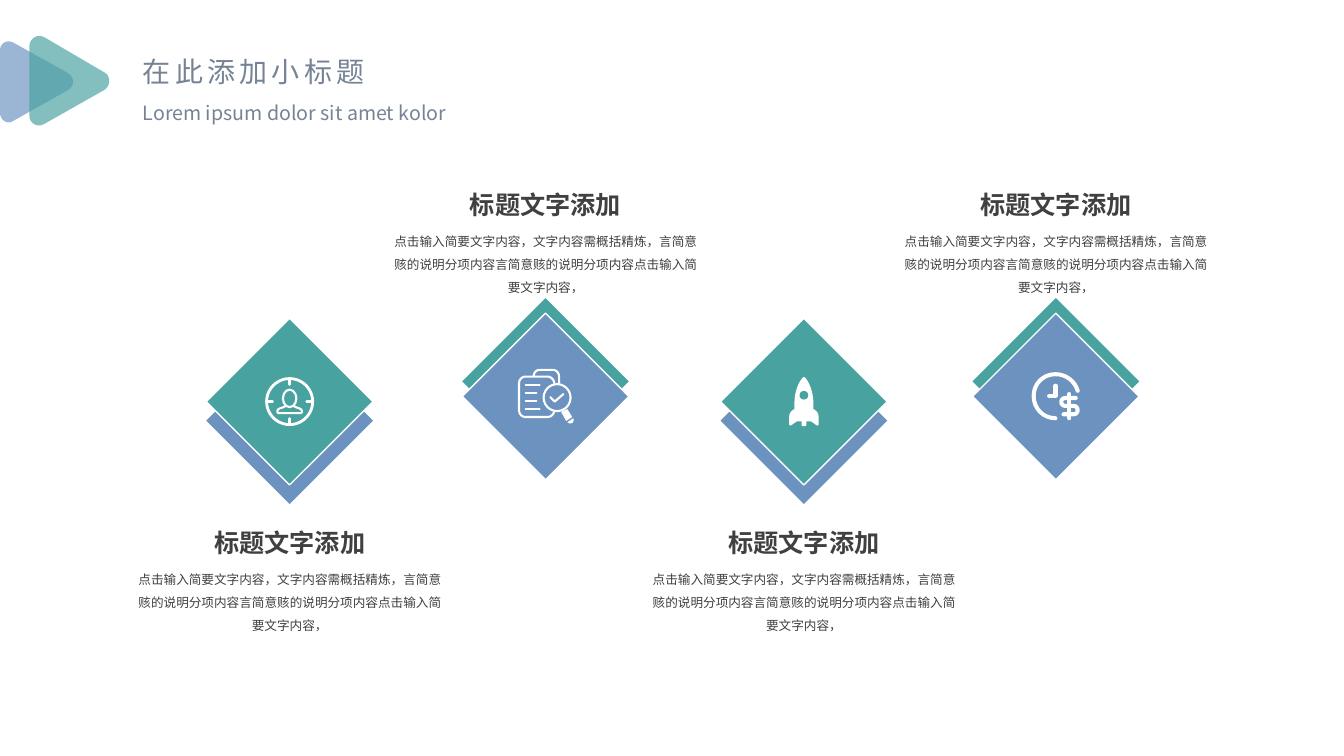
from lxml import etree
from pptx import Presentation
from pptx import util as u
from pptx.dml.color import RGBColor
from pptx.enum import shapes, text
from pptx.oxml.ns import qn

COLORS = {"teal": "48A2A0", "blue": "6C92C0", "white": "FFFFFF",
          "heading": "768394", "body": "404040"}
SANS = "Noto Sans CJK SC"
BODY = "点击输入简要文字内容，文字内容需概括精炼，言简意赅的说明分项内容言简意赅的说明分项内容点击输入简要文字内容，"
STEPS = 8

prs = Presentation()
prs.slide_width, prs.slide_height = u.Cm(33.87), u.Cm(19.05)
s = prs.slides.add_slide(prs.slide_layouts[6])


def draw(d, x=0, y=0, color="white", weight=0):
    contours = []
    for part in d.replace("M", "|M").split("|")[1:]:
        points = []
        for cmd in part.replace("L", "|L").replace("C", "|C").split("|"):
            n = [float(v) / 100 for v in cmd.strip(" MLCZ").split()]
            pairs = list(zip(n[::2], n[1::2]))
            if len(pairs) == 1:
                points += pairs
                continue
            curve = [points[-1]] + pairs
            for i in range(1, STEPS + 1):
                t = i / STEPS
                w = ((1 - t) ** 3, 3 * t * (1 - t) ** 2, 3 * t * t * (1 - t), t ** 3)
                points.append(tuple(sum(k * p[a] for k, p in zip(w, curve)) for a in (0, 1)))
        contours.append([(u.Cm(x + px), u.Cm(y + py)) for px, py in points])
    fb = s.shapes.build_freeform(*contours[0][0])
    for i, points in enumerate(contours):
        if i:
            fb.move_to(*points[0])
        fb.add_line_segments(points[1:], close=not weight)
    sp = fb.convert_to_shape()
    sp.shadow.inherit = False
    if weight:
        sp.fill.background()
        sp.line.width = u.Pt(weight)
        sp.line.color.rgb = RGBColor.from_string(COLORS[color])
        ln = sp.line._get_or_add_ln()
        ln.set("cap", "rnd")
        etree.SubElement(ln, qn("a:round"))
    else:
        sp.fill.solid()
        sp.fill.fore_color.rgb = RGBColor.from_string(COLORS[color])
        sp.line.fill.background()
    return sp


def write(words, box, color, fmt, align=None, spacing=None, tracking=0):
    tf = s.shapes.add_textbox(*map(u.Cm, box)).text_frame
    tf.word_wrap = align is not None
    p = tf.paragraphs[0]
    p.alignment, p.line_spacing = align, spacing
    r = p.add_run()
    r.text = words
    for name, value in fmt.items():
        setattr(r.font, name, value)
    r.font.color.rgb = RGBColor.from_string(COLORS[color])
    rPr = r._r.get_or_add_rPr()
    etree.SubElement(rPr, qn("a:ea")).set("typeface", fmt["name"])
    if tracking:
        rPr.set("spc", str(tracking * 100))


write("在此添加小标题", (3.35, 1.24, 6.25, 1.12), "heading",
      {"name": SANS, "size": u.Pt(20)}, tracking=3)
write("Lorem ipsum dolor sit amet kolor", (3.35, 2.41, 8.2, 0.86), "heading",
      {"name": SANS, "size": u.Pt(14)})

TRIANGLES = [
    ("blue", "M173 185 L33 107 C18 99 0 109 0 127 L0 284 C0 302 18 315 33 305 "
             "L173 226 C188 216 188 196 173 185 Z"),
    ("teal", "M264 183 L112 94 C94 84 74 97 74 117 L74 292 C74 310 94 323 112 312 "
             "L264 226 C279 216 279 191 264 183 Z"),
]
for color, d in TRIANGLES:
    sp = draw(d, color=color)
    clr = sp.fill._xPr.find(qn("a:solidFill"))[0]
    etree.SubElement(clr, qn("a:alpha")).set("val", "68000")

TARGET = {
    "paths": [
        ("M0 -58 L0 -43 M0 43 L0 58 M-58 0 L-43 0 M43 0 L58 0", 2),
        ("M-11 11 C-16 17 -31 15 -31 25 C-31 30 -25 29 -22 29 L22 29 "
         "C25 29 31 30 31 25 C31 15 16 17 11 11", 1.5)],
    "ovals": [(0, 0, 0.58, 0.58, 2), (0, -0.08, 0.17, 0.22, 1.5)]}
REVIEW = {
    "paths": [
        ("M22 -34 C20 -44 13 -50 4 -50 L-50 -50 C-60 -50 -67 -42 -67 -32 L-67 34 "
         "C-67 44 -60 52 -50 52 L4 52 C12 52 19 47 21 40 "
         "M-30 -52 C-29 -61 -23 -67 -14 -67 L17 -67 C27 -67 34 -60 34 -50 L34 -34", 1.5),
        ("M-50 -29 L-15 -29 M-50 -9 L-23 -9 M-50 11 L-23 11 M-50 32 L-15 32 "
         "M12 2 L23 13 L45 -6", 1.5),
        ("M39 39 L52 62 L67 52 L55 32 Z M70 55 L55 65 C57 67 62 70 67 67 "
         "C70 65 72 60 70 55 Z", 0)],
    "ovals": [(0.29, 0.03, 0.34, 0.34, 1.5)]}
ROCKET = {
    "paths": [
        ("M0 -62 C5 -62 24 -34 24 4 L24 19 C32 23 37 30 37 37 L37 57 C37 60 34 61 32 60 "
         "L21 52 C19 50 17 50 14 50 L6 50 L6 58 C6 61 5 62 4 62 L-4 62 C-5 62 -6 61 -6 58 "
         "L-6 50 L-14 50 C-17 50 -19 50 -21 52 L-32 60 C-34 61 -37 60 -37 57 L-37 37 "
         "C-37 30 -32 23 -24 19 L-24 4 C-24 -34 -5 -62 0 -62 Z", 0)],
    "ovals": [(0, -0.16, 0.11, 0.11, 0)]}
CLOCK = {
    "paths": [
        ("M55 -14 C48 -39 25 -56 -1 -56 C-32 -56 -56 -32 -56 -1 C-56 30 -32 55 -1 55 "
         "M-1 -27 L-1 -1 L-17 -1", 2.9),
        ("M50 4 L24 4 C10 4 10 24 24 24 L45 24 C58 24 58 45 45 45 L19 45 "
         "M34 -6 L34 55", 2.9)],
    "ovals": []}

LOW = {"back": (10.6, "blue"), "front": (10.12, "teal"), "title": 13.16}
HIGH = {"back": (9.61, "teal"), "front": (9.99, "blue"), "title": 4.65}
SIDE = 2.97
COLUMNS = [(7.3, LOW, TARGET), (13.75, HIGH, REVIEW),
           (20.26, LOW, ROCKET), (26.61, HIGH, CLOCK)]

for cx, row, icon in COLUMNS:
    for layer in ("back", "front"):
        cy, color = row[layer]
        sp = s.shapes.add_shape(shapes.MSO_SHAPE.RECTANGLE, u.Cm(cx - SIDE / 2),
                                u.Cm(cy - SIDE / 2), u.Cm(SIDE), u.Cm(SIDE))
        sp.rotation = 315
        sp.shadow.inherit = False
        sp.fill.solid()
        sp.fill.fore_color.rgb = RGBColor.from_string(COLORS[color])
        if layer == "back":
            sp.line.fill.background()
        else:
            sp.line.width = u.Pt(1)
            sp.line.color.rgb = RGBColor.from_string(COLORS["white"])

    for d, weight in icon["paths"]:
        draw(d, cx, cy, weight=weight)
    for dx, dy, rx, ry, weight in icon["ovals"]:
        sp = s.shapes.add_shape(shapes.MSO_SHAPE.OVAL, u.Cm(cx + dx - rx),
                                u.Cm(cy + dy - ry), u.Cm(2 * rx), u.Cm(2 * ry))
        sp.shadow.inherit = False
        if weight:
            sp.fill.background()
            sp.line.width = u.Pt(weight)
            sp.line.color.rgb = RGBColor.from_string(COLORS["white"])
        else:
            sp.fill.solid()
            sp.fill.fore_color.rgb = RGBColor.from_string(COLORS[color])
            sp.line.fill.background()

    write("标题文字添加", (cx - 2.96, row["title"], 5.92, 1.02), "body",
          {"name": SANS, "size": u.Pt(18), "bold": True}, text.PP_ALIGN.CENTER)
    write(BODY, (cx - 4.2, row["title"] + 0.94, 8.4, 1.93), "body",
          {"name": "TeX Gyre Adventor", "size": u.Pt(9)}, text.PP_ALIGN.CENTER, 1.5)

prs.save("out.pptx")
